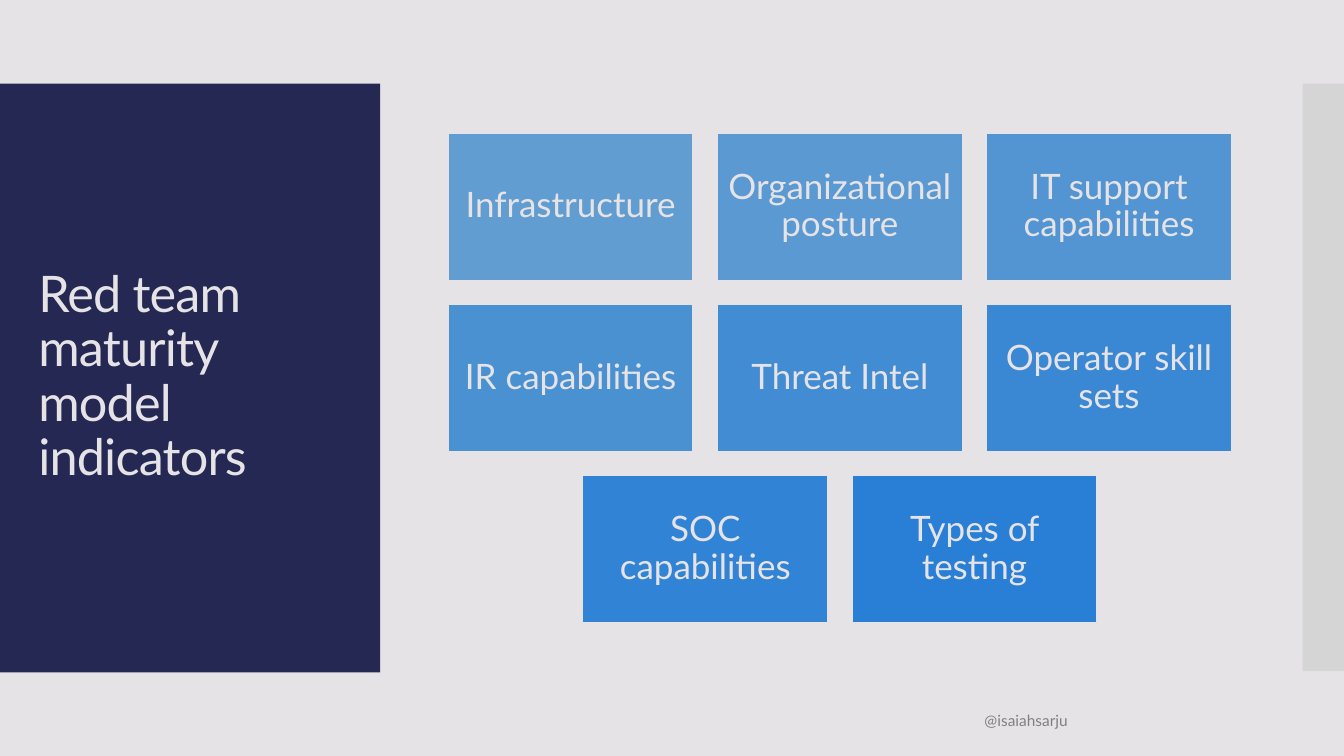
import pptx
import pptx.util
import pptx.dml.color
import pptx.enum.shapes
import pptx.enum.text
from lxml import etree

Inches, Pt = pptx.util.Inches, pptx.util.Pt
ALIGN = pptx.enum.text.PP_ALIGN

# Content
TITLE = "Red team maturity model indicators"
HANDLE = "@isaiahsarju"
ROWS = [
    [("Infrastructure", "629DD1"), ("Organizational posture", "5A99D1"),
     ("IT support capabilities", "5295D2")],
    [("IR capabilities", "4A91D2"), ("Threat Intel", "428CD3"),
     ("Operator skill sets", "3A88D4")],
    [("SOC capabilities", "3184D5"), ("Types of testing", "297FD5")],
]
COLORS = {"paper": "E5E3E6", "navy": "242852", "strip": "C8C8C8", "gray": "808080"}

# Tile grid: every row is centred on the same axis
TILE_W, TILE_H = 2.43, 1.46
PITCH_X, PITCH_Y = 2.67, 1.7
CENTER_X, TOP = 8.33, 1.32


def rgb(value):
    return pptx.dml.color.RGBColor.from_string(value)


def add_rect(x, y, w, h, fill):
    sp = slide.shapes.add_shape(pptx.enum.shapes.MSO_SHAPE.RECTANGLE,
                                Inches(x), Inches(y), Inches(w), Inches(h))
    sp.shadow.inherit = False
    sp.fill.solid()
    sp.fill.fore_color.rgb = rgb(fill)
    sp.line.fill.background()
    return sp


def set_text(sp, text, size, color, align, spacing=1.0):
    tf = sp.text_frame
    tf.text = text
    tf.word_wrap = True
    tf.auto_size = pptx.enum.text.MSO_AUTO_SIZE.NONE
    tf.vertical_anchor = pptx.enum.text.MSO_ANCHOR.MIDDLE
    p = tf.paragraphs[0]
    p.alignment, p.line_spacing = align, spacing
    r = p.runs[0]
    r.font.size, r.font.name = Pt(size), "Lato"
    r.font.color.rgb = rgb(color)
    return r


prs = pptx.Presentation()
prs.slide_width, prs.slide_height = Inches(13.33), Inches(7.5)
slide = prs.slides.add_slide(prs.slide_layouts[5])
slide.background.fill.solid()
slide.background.fill.fore_color.rgb = rgb(COLORS["paper"])

# Side panel and half-transparent strip at the right edge
strip = add_rect(12.92, 0.83, 0.41, 5.83, COLORS["strip"])
fill_color = strip.fill._xPr.solidFill.srgbClr
alpha = etree.SubElement(fill_color, pptx.oxml.ns.qn("a:alpha"))
alpha.set("val", "50000")
panel = add_rect(0, 0.83, 3.77, 5.84, COLORS["navy"])

# Title, raised above the panel
title = slide.shapes.title
title.left, title.top = Inches(0.28), Inches(1.23)
title.width, title.height = Inches(3.22), Inches(5.03)
r = set_text(title, TITLE, 36, COLORS["paper"], ALIGN.LEFT, 0.9)
r.font._element.set("spc", "-60")
panel._element.addnext(title._element)

# Indicator tiles
for row, tiles in enumerate(ROWS):
    left = CENTER_X - ((len(tiles) - 1) * PITCH_X + TILE_W) / 2
    for col, (label, fill) in enumerate(tiles):
        sp = add_rect(left + col * PITCH_X, TOP + row * PITCH_Y, TILE_W, TILE_H, fill)
        sp.line.color.rgb = rgb(COLORS["paper"])
        sp.line.width = Pt(0.85)
        tf = sp.text_frame
        tf.margin_left = tf.margin_right = tf.margin_top = tf.margin_bottom = Inches(0.1)
        set_text(sp, label, 25, COLORS["paper"], ALIGN.CENTER, 0.9)

# Footer handle
footer = slide.shapes.add_textbox(Inches(4.23), Inches(6.95), Inches(6.46), Inches(0.4))
set_text(footer, HANDLE, 11, COLORS["gray"], ALIGN.RIGHT)

prs.save("out.pptx")
